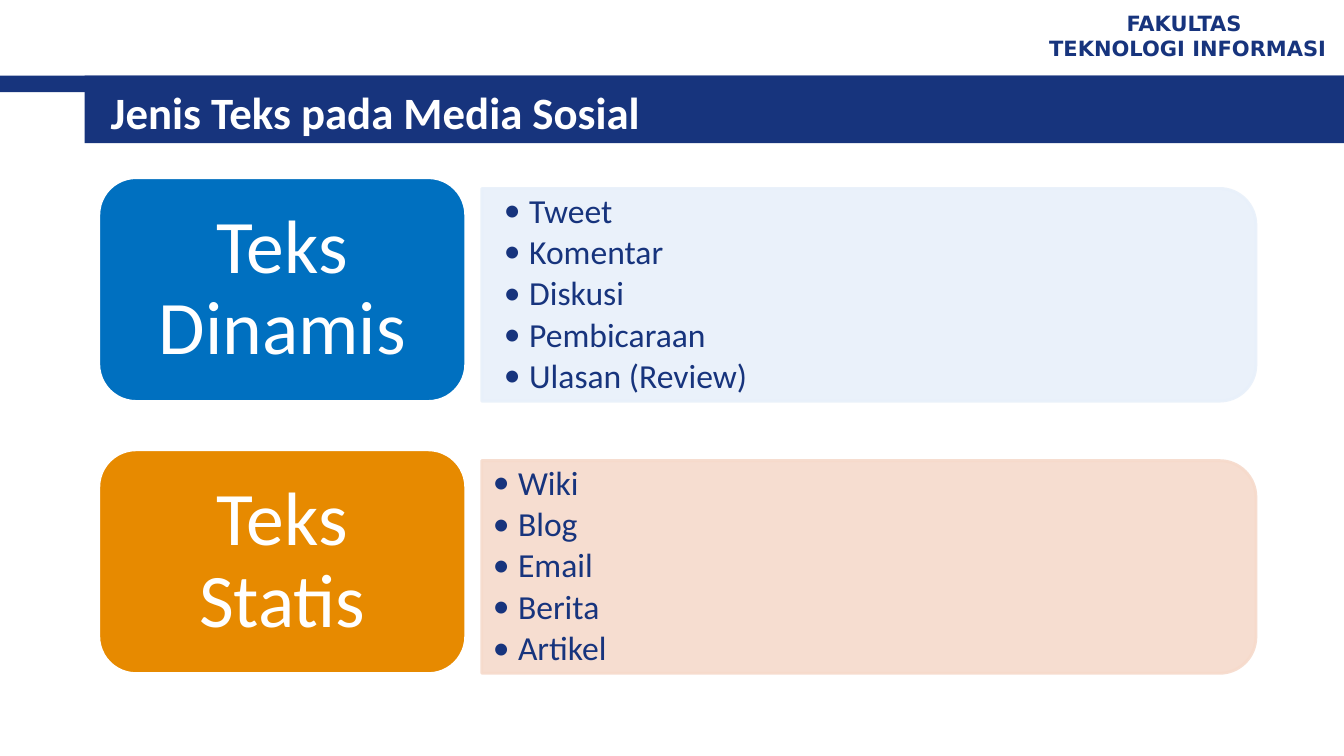
import math
from dataclasses import dataclass

import lxml.etree
import pptx
import pptx.dml.color
import pptx.enum.shapes
import pptx.enum.text
import pptx.oxml.ns
import pptx.util

SLIDE_W, SLIDE_H = 13.33, 7.5
NAVY, WHITE = "17347D", "FFFFFF"
FONT = "Calibri"
CENTER = pptx.enum.text.PP_ALIGN.CENTER
LEFT = pptx.enum.text.PP_ALIGN.LEFT
SHAPE = pptx.enum.shapes.MSO_SHAPE
CORNER = pptx.util.Inches(0.36)
FIRST_ROW, ROW_PITCH, PANEL_DROP = 23.5, 36, 1.43


@dataclass(frozen=True)
class Area:
    """A rectangle given in percent of the slide's width and height."""

    x: float
    y: float
    w: float
    h: float

    def emu(self) -> list[int]:
        return [pptx.util.Inches(share * side / 100) for share, side in
                ((self.x, SLIDE_W), (self.y, SLIDE_H), (self.w, SLIDE_W), (self.h, SLIDE_H))]


@dataclass(frozen=True)
class TextKind:
    label: str
    examples: tuple[str, ...]
    label_color: str
    panel_color: str
    panel_insets: tuple[float, float, float, float]


TEXT_KINDS = (
    TextKind("Teks Dinamis", ("Tweet", "Komentar", "Diskusi", "Pembicaraan", "Ulasan (Review)"),
             "0070C0", "E8F0FA", (0.22, 0.21, 0.32, 0.21)),
    TextKind("Teks Statis", ("Wiki", "Blog", "Email", "Berita", "Artikel"),
             "E78A00", "F6DACB", (0.11, 0.16, 0.21, 0.16)),
)


def rgb(color: str) -> pptx.dml.color.RGBColor:
    return pptx.dml.color.RGBColor.from_string(color)


def add_bullet(paragraph) -> None:
    properties = paragraph._p.get_or_add_pPr()
    indent = pptx.util.Inches(0.25)
    properties.set("marL", str(indent))
    properties.set("indent", str(-indent))
    typeface = lxml.etree.SubElement(properties, pptx.oxml.ns.qn("a:buFont"))
    typeface.set("typeface", FONT)
    bullet = lxml.etree.SubElement(properties, pptx.oxml.ns.qn("a:buChar"))
    bullet.set("char", "•")


def write(shape, lines: tuple[str, ...], *, size: float, color: str, font: str = FONT,
          bold: bool = False, align=LEFT, bullets: bool = False, spacing: float = 1,
          after: float = 0, insets: tuple[float, ...] = (0.1, 0.05, 0.1, 0.05)) -> None:
    frame = shape.text_frame
    frame.word_wrap = True
    frame.vertical_anchor = pptx.enum.text.MSO_ANCHOR.MIDDLE
    (frame.margin_left, frame.margin_top,
     frame.margin_right, frame.margin_bottom) = map(pptx.util.Inches, insets)
    for index, line in enumerate(lines):
        paragraph = frame.paragraphs[0] if index == 0 else frame.add_paragraph()
        paragraph.alignment = align
        paragraph.line_spacing = spacing
        paragraph.space_after = pptx.util.Pt(after)
        if bullets:
            add_bullet(paragraph)
        run = paragraph.add_run()
        run.text = line
        run.font.name, run.font.bold = font, bold
        run.font.size = pptx.util.Pt(size)
        run.font.color.rgb = rgb(color)


def paint(shape, fill: str, line: str | None = None, opacity: int = 100) -> None:
    shape.shadow.inherit = False
    shape.fill.solid()
    shape.fill.fore_color.rgb = rgb(fill)
    if line is None:
        shape.line.fill.background()
    else:
        shape.line.color.rgb = rgb(line)
        shape.line.width = pptx.util.Pt(2)
    if opacity < 100:
        for color in shape._element.spPr.iter(pptx.oxml.ns.qn("a:srgbClr")):
            alpha = lxml.etree.SubElement(color, pptx.oxml.ns.qn("a:alpha"))
            alpha.set("val", str(opacity * 1000))


def add_panel(slide, area: Area):
    """Outline a panel whose two right corners are round."""
    x, y, w, h = area.emu()
    steps = 16
    outline = [(x, y)]
    for start, center_y in ((-90, y + CORNER), (0, y + h - CORNER)):
        for step in range(steps + 1):
            angle = math.radians(start + 90 * step / steps)
            outline.append((x + w - CORNER + CORNER * math.cos(angle),
                            center_y + CORNER * math.sin(angle)))
    outline.append((x, y + h))
    builder = slide.shapes.build_freeform(*outline[0])
    builder.add_line_segments(outline[1:], close=True)
    return builder.convert_to_shape()


def add_text_kind(slide, kind: TextKind, top: float) -> None:
    panel = add_panel(slide, Area(35.85, top + PANEL_DROP, 57.6, 28.13))
    paint(panel, kind.panel_color, kind.panel_color, opacity=90)
    write(panel, kind.examples, size=24, color=NAVY, bullets=True, spacing=0.9,
          after=3.6, insets=kind.panel_insets)
    label = slide.shapes.add_shape(SHAPE.ROUNDED_RECTANGLE, *Area(7.35, top, 27.3, 29.6).emu())
    paint(label, kind.label_color, WHITE)
    write(label, (kind.label,), size=54, color=WHITE, align=CENTER, spacing=0.9,
          insets=(0.4, 0.26, 0.4, 0.26))


def main() -> None:
    deck = pptx.Presentation()
    deck.slide_width = pptx.util.Inches(SLIDE_W)
    deck.slide_height = pptx.util.Inches(SLIDE_H)
    slide = deck.slides.add_slide(deck.slide_layouts[6])
    for band in (Area(0, 10, 100, 2.2), Area(6.3, 10, 93.7, 8.93)):
        paint(slide.shapes.add_shape(SHAPE.RECTANGLE, *band.emu()), NAVY)
    faculty = slide.shapes.add_textbox(*Area(76.75, 0.6, 23.25, 8.27).emu())
    write(faculty, ("FAKULTAS ", "TEKNOLOGI INFORMASI"), size=15, color=NAVY,
          font="DejaVu Sans", bold=True, align=CENTER)
    title = slide.shapes.add_textbox(*Area(7.5, 10.67, 89.2, 8.27).emu())
    write(title, ("Jenis Teks pada Media Sosial",), size=32, color=WHITE, bold=True)
    for row, kind in enumerate(TEXT_KINDS):
        add_text_kind(slide, kind, FIRST_ROW + row * ROW_PITCH)
    deck.save("out.pptx")


if __name__ == "__main__":
    main()
